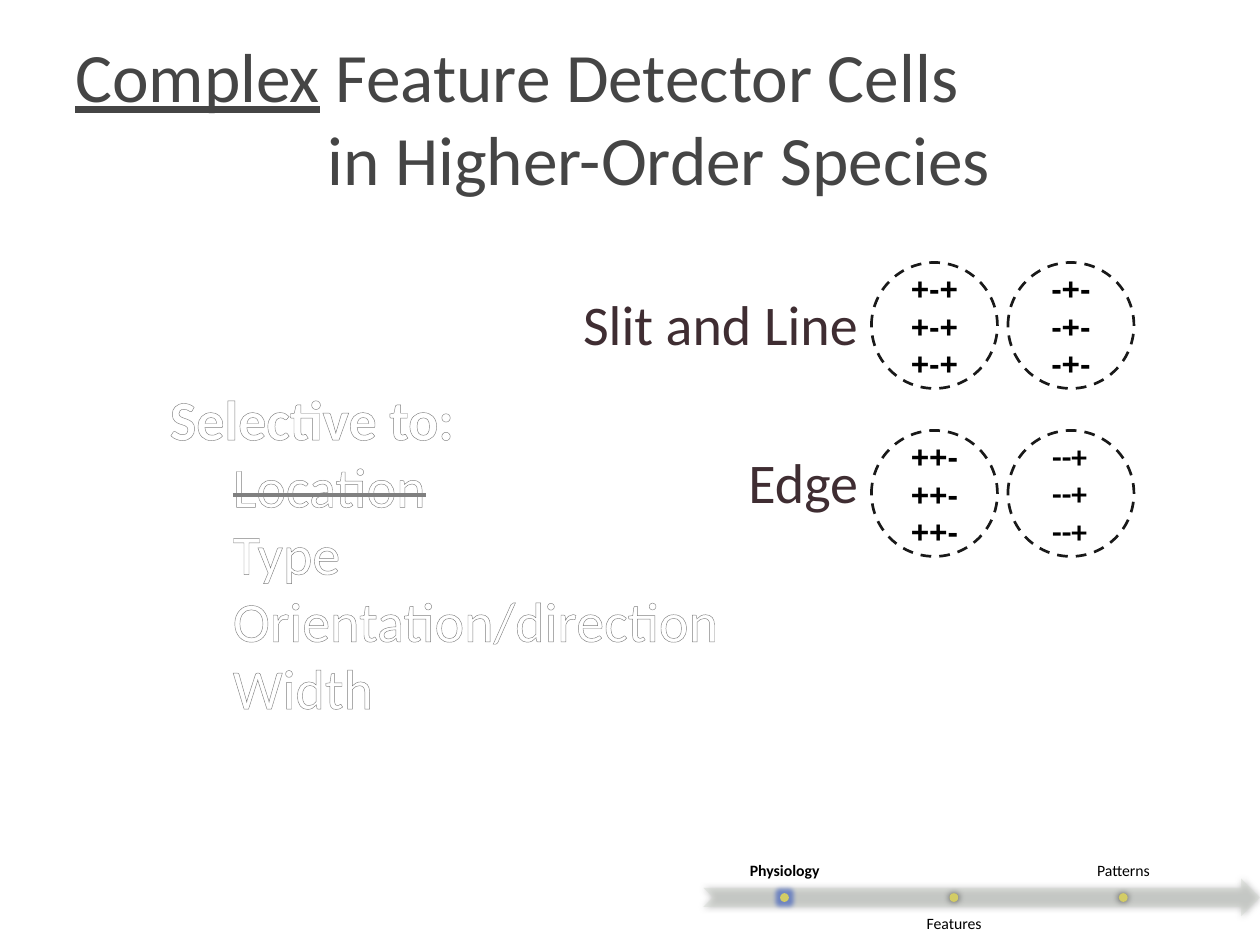
"""Build the slide on complex feature detector cells."""
import pptx
import pptx.dml.color
import pptx.enum.dml
import pptx.enum.shapes
import pptx.enum.text
import pptx.oxml
import pptx.oxml.ns
import pptx.util

Pt = pptx.util.Pt
RGB = pptx.dml.color.RGBColor.from_string
Align = pptx.enum.text.PP_ALIGN
Anchor = pptx.enum.text.MSO_ANCHOR
Shape = pptx.enum.shapes.MSO_SHAPE
NS = pptx.oxml.ns.nsdecls("a")

THEME = {
    "title": ("Calibri", 39.6, "454545", False),
    "body": ("Calibri", 32, "3F2D32", False),
    "list": ("Calibri", 32, "FFFFFF", False),
    "cell": ("Arial", 18, "000000", True),
    "side": ("Calibri", 18, "000000", True),
    "step": ("Calibri", 9, "000000", False),
    "edge": "808080",
    "ring": "000000",
    "paper": "FFFFFF",
    "arrow": "CFD5CD",
    "dot": "D3CC65",
    "glow": "3F5FBF",
}
SHADOW = '<a:outerShdw blurRad="50800" dist="0" dir="0">'
GLOW = '<a:glow rad="63500">'


def add_run(para, text, style):
    """Add one styled run to a paragraph."""
    run = para.add_run()
    run.text = text
    font = run.font
    font.name, size, color, font.bold = THEME[style]
    font.size = Pt(size)
    font.color.rgb = RGB(color)
    return run


def add_shape(kind, left, top, width, height, color, effect=None, tint="000000"):
    """Add a filled shape without a line, with an optional soft effect."""
    shape = slide.shapes.add_shape(kind, Pt(left), Pt(top), Pt(width), Pt(height))
    shape.shadow.inherit = False
    shape.fill.solid()
    shape.fill.fore_color.rgb = RGB(color)
    shape.line.fill.background()
    if effect:
        tag = effect[1:].split()[0]
        shape._element.spPr.find(pptx.oxml.ns.qn("a:effectLst")).append(
            pptx.oxml.parse_xml(
                effect.replace(tag, f"{tag} {NS}", 1)
                + f'<a:srgbClr val="{tint}"><a:alpha val="64000"/></a:srgbClr></{tag}>'
            )
        )
    return shape


deck = pptx.Presentation()
deck.slide_width, deck.slide_height = Pt(720), Pt(540)
slide = deck.slides.add_slide(deck.slide_layouts[6])

box = slide.shapes.add_textbox(Pt(36), Pt(21.6), Pt(648), Pt(90))
frame = box.text_frame
frame.word_wrap = True
frame.vertical_anchor = Anchor.MIDDLE
para = frame.paragraphs[0]
props = para._p.get_or_add_pPr()
props.set("marL", str(Pt(144)))
props.set("indent", str(Pt(-144)))
add_run(para, "Complex", "title").font.underline = True
add_run(para, " Feature Detector Cells", "title")
para.add_line_break()
add_run(para, "in Higher-Order Species", "title")

box = slide.shapes.add_textbox(Pt(312), Pt(162), Pt(185.5), Pt(156))
frame = box.text_frame
frame.word_wrap = True
for i, text in enumerate(["Slit and Line", "Edge"]):
    para = frame.add_paragraph() if i else frame.paragraphs[0]
    para.alignment = Align.RIGHT
    if i:
        para.space_before = Pt(51.5)
    add_run(para, text, "body")

for col, row, text in [(0, 1, "++-"), (1, 1, ""), (0, 0, "+-+"), (1, 0, "-+-")]:
    ring = add_shape(Shape.OVAL, 498 + 78 * col, 150 + 96 * row, 72, 72, THEME["paper"])
    ring.line.color.rgb = RGB(THEME["ring"])
    ring.line.width = Pt(1.54)
    ring.line.dash_style = pptx.enum.dml.MSO_LINE.DASH
    tone = ring.line._ln.find(".//" + pptx.oxml.ns.qn("a:srgbClr"))
    tone.append(pptx.oxml.parse_xml(f'<a:alpha {NS} val="90000"/>'))
    frame = ring.text_frame
    frame.vertical_anchor = Anchor.MIDDLE
    for i in range(3 if text else 0):
        para = frame.add_paragraph() if i else frame.paragraphs[0]
        para.alignment = Align.CENTER
        add_run(para, text, "cell")

arrow = add_shape(
    Shape.NOTCHED_RIGHT_ARROW, 402, 502, 318, 21.6, THEME["arrow"], SHADOW
)
tone = arrow._element.spPr.find(".//" + pptx.oxml.ns.qn("a:srgbClr"))
tone.append(pptx.oxml.parse_xml(f'<a:alpha {NS} val="40000"/>'))

for i, text in enumerate(["Physiology", "Features", "Patterns"]):
    left = 402.4 + 96.8 * i
    below = i == 1
    box = slide.shapes.add_textbox(
        Pt(left), Pt(518.4 if below else 486), Pt(92), Pt(21.6)
    )
    frame = box.text_frame
    frame.word_wrap = True
    frame.vertical_anchor = Anchor.TOP if below else Anchor.BOTTOM
    frame.margin_left = frame.margin_right = Pt(5)
    frame.margin_top = frame.margin_bottom = Pt(5)
    para = frame.paragraphs[0]
    para.alignment = Align.CENTER
    para.line_spacing = 0.9
    add_run(para, text, "step").font.bold = i == 0
    effect, tint = (SHADOW, "000000") if i else (GLOW, THEME["glow"])
    add_shape(Shape.OVAL, left + 43.4, 510.4, 5, 5, THEME["dot"], effect, tint)

box = slide.shapes.add_textbox(Pt(90), Pt(216), Pt(332), Pt(201))
frame = box.text_frame
frame.word_wrap = False
items = ["Selective to:", "Location", "Type", "Orientation/direction", "Width"]
for i, text in enumerate(items):
    para = frame.add_paragraph() if i else frame.paragraphs[0]
    if i:
        para.level = 1
        para._p.get_or_add_pPr().set("marL", str(Pt(36)))
    run = add_run(para, text, "list")
    run.font.bold = i == 0
    props = run._r.get_or_add_rPr()
    if text == "Location":
        props.set("strike", "sngStrike")
    props.insert(0, pptx.oxml.parse_xml(
        f'<a:ln {NS} w="9525"><a:solidFill><a:srgbClr val="{THEME["edge"]}"/>'
        "</a:solidFill></a:ln>"
    ))

box = slide.shapes.add_textbox(Pt(594), Pt(246), Pt(34.5), Pt(72.7))
frame = box.text_frame
frame.word_wrap = False
for i in range(3):
    para = frame.add_paragraph() if i else frame.paragraphs[0]
    para.alignment = Align.CENTER
    add_run(para, "--+", "side")

deck.save("out.pptx")
